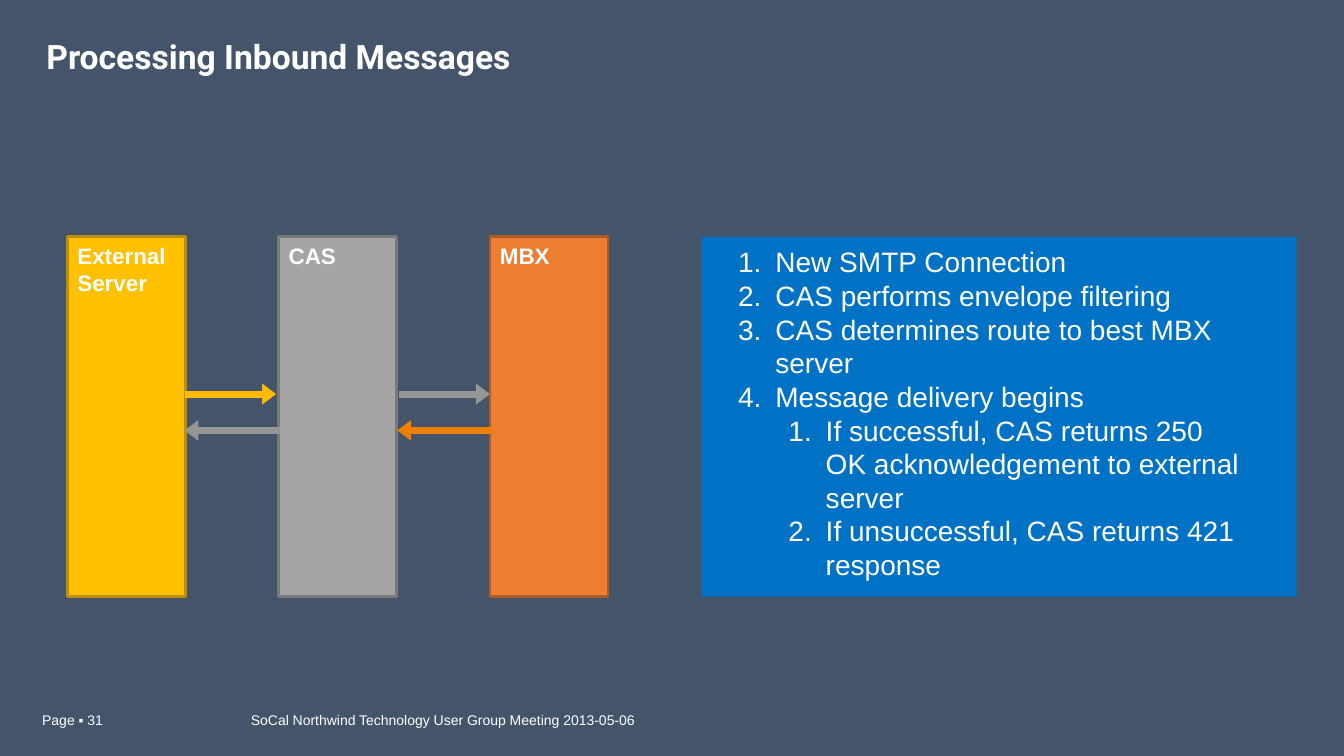
from dataclasses import dataclass

from lxml import etree
from pptx import Presentation
from pptx.dml.color import RGBColor
from pptx.enum.shapes import MSO_CONNECTOR, MSO_SHAPE
from pptx.enum.text import MSO_ANCHOR, MSO_AUTO_SIZE, PP_ALIGN
from pptx.oxml.ns import qn
from pptx.util import Inches, Pt

RECT = MSO_SHAPE.RECTANGLE
LINE = MSO_CONNECTOR.STRAIGHT
LEFT = PP_ALIGN.LEFT
TOP, MID = MSO_ANCHOR.TOP, MSO_ANCHOR.MIDDLE
FIXED = MSO_AUTO_SIZE.NONE

WIDE, HIGH = Inches(13.33), Inches(7.5)
COLS = ROWS = 100

HUES = {
    "back": "44546A", "text": "FFFFFF", "panel": "0072C6",
    "gold": "FFC000", "gold_edge": "BD8E00", "gold_line": "FFB900",
    "gray": "A5A5A5", "gray_edge": "7A7A7A", "gray_line": "969696",
    "rust": "ED7D31", "rust_edge": "AF5C24", "rust_line": "ED8000",
}


@dataclass
class Box:
    col: float
    row: float
    cols: float
    rows: float


@dataclass
class Lane:
    name: str
    hue: str


@dataclass
class Arrow:
    start: float
    end: float
    row: float
    hue: str


@dataclass
class Step:
    text: str
    level: int = 0


@dataclass
class Note:
    text: str
    box: Box


LANE_COL, LANE_GAP, LANE_COLS = 5.02, 15.72, 8.78
BAND_ROW, BAND_ROWS = 31.33, 47.6
SEND_ROW, REPLY_ROW = 52.13, 56.93
FOOT_ROW, FOOT_ROWS = 93.47, 3.6

TITLE = Note("Processing Inbound Messages", Box(3.45, 3.33, 63.09, 8.8))
PANEL = Box(52.21, BAND_ROW, 44.26, BAND_ROWS)
LIST = Box(54.16, 31.73, 39.08, 46.27)
LANES = [Lane("External Server", "gold"), Lane("CAS", "gray"), Lane("MBX", "rust")]
ARROWS = [
    Arrow(13.73, 20.55, SEND_ROW, "gold_line"),
    Arrow(29.71, 36.46, SEND_ROW, "gray_line"),
    Arrow(20.86, 13.73, REPLY_ROW, "gray_line"),
    Arrow(36.61, 29.56, REPLY_ROW, "rust_line"),
]
STEPS = [
    Step("New SMTP Connection"),
    Step("CAS performs envelope filtering"),
    Step("CAS determines route to best MBX server"),
    Step("Message delivery begins"),
    Step("If successful, CAS returns 250 OK acknowledgement to external server", 1),
    Step("If unsuccessful, CAS returns 421 response", 1),
]
NOTES = [
    Note("SoCal Northwind Technology User Group Meeting 2013-05-06",
         Box(17.93, FOOT_ROW, 48.61, FOOT_ROWS)),
    Note("Page ▪ 31", Box(2.4, FOOT_ROW, 14.7, FOOT_ROWS)),
]


def across(cols: float) -> int:
    return round(WIDE * cols / COLS)


def down(rows: float) -> int:
    return round(HIGH * rows / ROWS)


def area(box: Box) -> tuple:
    return across(box.col), down(box.row), across(box.cols), down(box.rows)


def tint(hue: str) -> RGBColor:
    return RGBColor.from_string(HUES[hue])


def place(shape, box: Box) -> None:
    shape.left, shape.top, shape.width, shape.height = area(box)


def style(frame, size: float, bold: bool = False, face: str = "Arial", anchor=TOP) -> None:
    frame.word_wrap = True
    frame.auto_size = FIXED
    frame.vertical_anchor = anchor
    for para in frame.paragraphs:
        para.alignment = LEFT
        para.space_before = para.space_after = Pt(0)
        for run in para.runs:
            font = run.font
            font.size, font.bold, font.name = Pt(size), bold, face
            font.color.rgb = tint("text")


def add_block(slide, box: Box, hue: str):
    block = slide.shapes.add_shape(RECT, *area(box))
    block.shadow.inherit = False
    block.fill.solid()
    block.fill.fore_color.rgb = tint(hue)
    block.line.fill.background()
    return block


def add_lane(slide, spot: int, lane: Lane) -> None:
    box = Box(LANE_COL + spot * LANE_GAP, BAND_ROW, LANE_COLS, BAND_ROWS)
    block = add_block(slide, box, lane.hue)
    block.line.color.rgb = tint(lane.hue + "_edge")
    block.line.width = Pt(2)
    block.text_frame.text = lane.name
    style(block.text_frame, 16, bold=True)


def add_arrow(slide, arrow: Arrow) -> None:
    row = down(arrow.row)
    link = slide.shapes.add_connector(LINE, across(arrow.start), row, across(arrow.end), row)
    link.line.color.rgb = tint(arrow.hue)
    link.line.width = Pt(5)
    tip = etree.SubElement(link.line._get_or_add_ln(), qn("a:tailEnd"))
    tip.set("type", "triangle")
    tip.set("w", "med")
    tip.set("len", "sm")
    etree.SubElement(link._element.spPr, qn("a:effectLst"))


def add_note(slide, note: Note) -> None:
    frame = slide.shapes.add_textbox(*area(note.box)).text_frame
    frame.text = note.text
    style(frame, 10)


def set_title(slide) -> None:
    title = slide.shapes.title
    place(title, TITLE.box)
    frame = title.text_frame
    frame.text = TITLE.text
    frame.margin_left = frame.margin_right = 0
    style(frame, 24, bold=True, face="Roboto", anchor=MID)
    frame.paragraphs[0].line_spacing = 0.95


def set_list(slide) -> None:
    body = slide.placeholders[1]
    place(body, LIST)
    slide.shapes._spTree.append(body._element)
    frame = body.text_frame
    frame.text = "\n".join(step.text for step in STEPS)
    for para, step in zip(frame.paragraphs, STEPS):
        para.level = step.level
        props = para._p.get_or_add_pPr()
        props.set("marL", str(Inches(0.37 + 0.5 * step.level)))
        props.set("indent", str(Inches(-0.37)))
        etree.SubElement(props, qn("a:buFont")).set("typeface", "+mj-lt")
        etree.SubElement(props, qn("a:buAutoNum")).set("type", "arabicPeriod")
    style(frame, 20)


def main() -> None:
    deck = Presentation()
    deck.slide_width, deck.slide_height = WIDE, HIGH
    slide = deck.slides.add_slide(deck.slide_layouts[1])
    slide.background.fill.solid()
    slide.background.fill.fore_color.rgb = tint("back")
    set_title(slide)
    for note in NOTES:
        add_note(slide, note)
    for spot, lane in enumerate(LANES):
        add_lane(slide, spot, lane)
    add_block(slide, PANEL, "panel")
    set_list(slide)
    for arrow in ARROWS:
        add_arrow(slide, arrow)
    deck.save("out.pptx")


if __name__ == "__main__":
    main()
